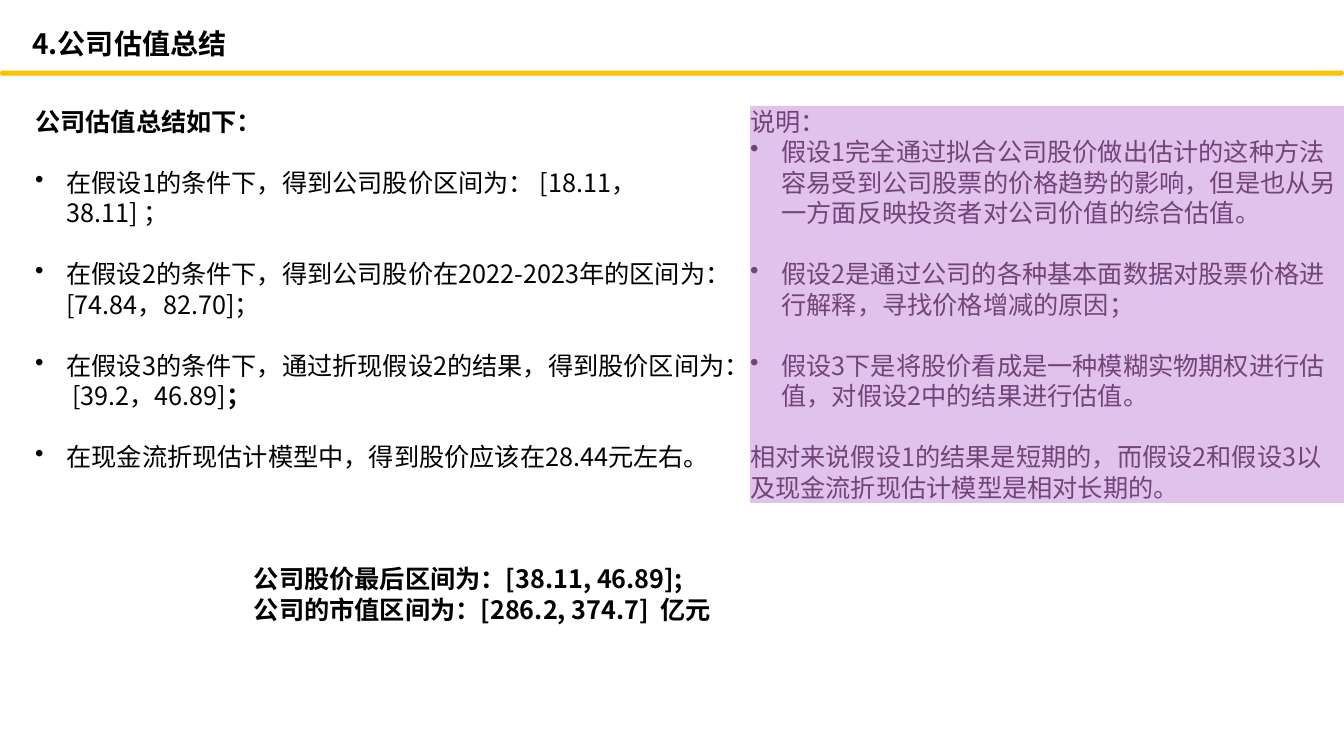
from dataclasses import dataclass

from pptx import Presentation
from pptx.dml.color import RGBColor as RGB
from pptx.enum.shapes import MSO_SHAPE as SHAPE
from pptx.enum.text import MSO_ANCHOR as ANCHOR, PP_ALIGN as ALIGN
from pptx.oxml.ns import qn
from pptx.util import Pt
from lxml.etree import SubElement

PX = 9144


@dataclass(frozen=True)
class Theme:
    """Colours, font and type sizes of the slide."""
    font: str = "Noto Sans CJK SC"
    title: int = 20
    body: int = 18
    leading: float = 1.21
    ink: RGB = RGB(0, 0, 0)
    rule: RGB = RGB(0xFF, 0xC0, 0x00)
    note_fill: RGB = RGB(0xE0, 0xC2, 0xEA)
    note_ink: RGB = RGB(0x73, 0x44, 0x7A)


@dataclass(frozen=True)
class Para:
    """One paragraph with its emphasis, bullet and gap above."""
    text: str
    bold: bool = False
    bullet: bool = False
    gap: bool = False
    bold_tail: str = ""


THEME = Theme()

SUMMARY = [
    Para("公司估值总结如下：", bold=True),
    Para("在假设1的条件下，得到公司股价区间为： [18.11，38.11] ；", bullet=True, gap=True),
    Para("在假设2的条件下，得到公司股价在2022-2023年的区间为： [74.84，82.70]；",
         bullet=True, gap=True),
    Para("在假设3的条件下，通过折现假设2的结果，得到股价区间为： [39.2，46.89]",
         bullet=True, gap=True, bold_tail="；"),
    Para("在现金流折现估计模型中，得到股价应该在28.44元左右。", bullet=True, gap=True),
]
NOTES = [
    Para("说明："),
    Para("假设1完全通过拟合公司股价做出估计的这种方法容易受到公司股票的价格趋势的影响，"
         "但是也从另一方面反映投资者对公司价值的综合估值。", bullet=True),
    Para("假设2是通过公司的各种基本面数据对股票价格进行解释，寻找价格增减的原因；",
         bullet=True, gap=True),
    Para("假设3下是将股价看成是一种模糊实物期权进行估值，对假设2中的结果进行估值。",
         bullet=True, gap=True),
    Para("相对来说假设1的结果是短期的，而假设2和假设3以及现金流折现估计模型是相对长期的。",
         gap=True),
]
RESULT = [
    Para("公司股价最后区间为：[38.11, 46.89];", bold=True),
    Para("公司的市值区间为：[286.2, 374.7]  亿元", bold=True),
]


def px(*lengths):
    """Turn pixel lengths into EMU."""
    return [n * PX for n in lengths]


def style_run(r, size, color, bold):
    """Format a run for Latin and East Asian text."""
    r.font.size = Pt(size)
    r.font.bold = bold
    r.font.color.rgb = color
    r.font.name = THEME.font
    SubElement(r.font._element, qn("a:ea"), typeface=THEME.font)


def add_bullet(p):
    """Give a paragraph a hanging bullet."""
    pPr = p._p.get_or_add_pPr()
    indent = 31 * PX
    pPr.set("marL", str(indent))
    pPr.set("indent", str(-indent))
    SubElement(pPr, qn("a:buChar"), char="•")


def fill_text(tf, paras, size, color, align=ALIGN.LEFT):
    """Write the paragraphs into a text frame."""
    tf.word_wrap = True
    tf.vertical_anchor = ANCHOR.TOP
    leading = Pt(round(size * THEME.leading, 1))
    for i, para in enumerate(paras):
        p = tf.paragraphs[0] if i == 0 else tf.add_paragraph()
        p.text = para.text
        if para.bullet:
            add_bullet(p)
        p.alignment = align
        p.line_spacing = leading
        p.space_before = leading if para.gap else Pt(0)
        style_run(p.runs[0], size, color, para.bold)
        if para.bold_tail:
            r = p.add_run()
            r.text = para.bold_tail
            style_run(r, size, color, True)


def clear_margins(tf):
    """Remove the inner margins of a text frame."""
    tf.margin_left = tf.margin_top = tf.margin_right = tf.margin_bottom = 0


def add_block(s, box, kind, color):
    """Add a plain filled shape."""
    sp = s.shapes.add_shape(kind, *px(*box))
    sp.shadow.inherit = False
    sp.fill.solid()
    sp.fill.fore_color.rgb = color
    sp.line.fill.background()
    return sp


def add_title(s, text):
    """Place and format the slide title."""
    sp = s.shapes.title
    sp.left, sp.top, sp.width, sp.height = px(22, 21, 667, 44)
    fill_text(sp.text_frame, [Para(text, bold=True)], THEME.title, THEME.ink, ALIGN.JUSTIFY)


def add_text(s, box, paras):
    """Add a text box of body text."""
    tf = s.shapes.add_textbox(*px(*box)).text_frame
    fill_text(tf, paras, THEME.body, THEME.ink)
    return tf


def main():
    """Build and save the slide."""
    prs = Presentation()
    prs.slide_width, prs.slide_height = px(1333, 750)
    s = prs.slides.add_slide(prs.slide_layouts[5])

    rule = add_block(s, (0, 70, 1333, 5), SHAPE.ROUNDED_RECTANGLE, THEME.rule)
    rule.adjustments[0] = 0.5
    add_title(s, "4.公司估值总结")
    clear_margins(add_text(s, (35, 105, 697, 333), SUMMARY))
    notes = add_block(s, (744, 105, 589, 394), SHAPE.RECTANGLE, THEME.note_fill)
    clear_margins(notes.text_frame)
    fill_text(notes.text_frame, NOTES, THEME.body, THEME.note_ink)
    add_text(s, (242, 554, 674, 71), RESULT)

    prs.save("out.pptx")


if __name__ == "__main__":
    main()
